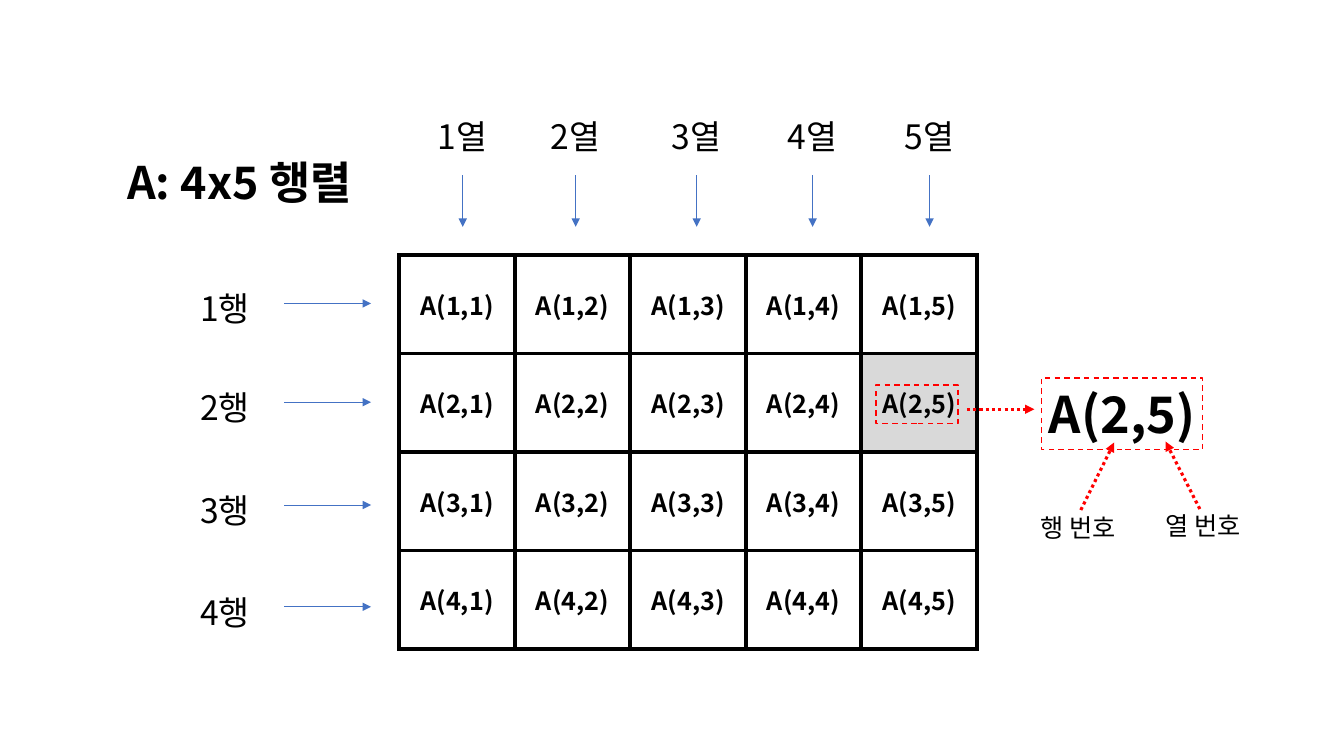
"""Build a slide explaining row and column indices of a 4x5 matrix."""
from lxml import etree
from pptx import Presentation
from pptx.dml.color import RGBColor
from pptx.enum.dml import MSO_LINE
from pptx.enum.shapes import MSO_CONNECTOR, MSO_SHAPE
from pptx.enum.text import MSO_ANCHOR, MSO_AUTO_SIZE, PP_ALIGN
from pptx.oxml import parse_xml
from pptx.oxml.ns import nsdecls, qn
from pptx.util import Pt

PX = 9144
FONT = "Noto Sans CJK KR"
color = RGBColor.from_string
BLACK, WHITE, GRAY, BLUE, RED = map(
    color, ("000000", "FFFFFF", "D9D9D9", "4472C4", "FF0000"))
STRAIGHT, RECTANGLE = MSO_CONNECTOR.STRAIGHT, MSO_SHAPE.RECTANGLE
DASH, DOTS = MSO_LINE.DASH, MSO_LINE.ROUND_DOT
CENTER, TOP, MIDDLE = PP_ALIGN.CENTER, MSO_ANCHOR.TOP, MSO_ANCHOR.MIDDLE
GROW = MSO_AUTO_SIZE.SHAPE_TO_FIT_TEXT
ROWS, COLUMNS = 4, 5


def write(frame, text, size, bold=False):
    """Put one centred paragraph into a text frame."""
    para = frame.paragraphs[0]
    para.text = text
    para.alignment = CENTER
    para.font.size = Pt(size)
    para.font.bold = bold
    para.font.name = FONT
    para.font.color.rgb = BLACK
    defaults = para._p.pPr.find(qn("a:defRPr"))
    etree.SubElement(defaults, qn("a:ea"), typeface=FONT)


def add_arrow(start_x, start_y, end_x, end_y, ink, width, dash=None):
    """Draw a straight arrow with a triangular head."""
    arrow = page.shapes.add_connector(
        STRAIGHT, start_x * PX, start_y * PX, end_x * PX, end_y * PX)
    arrow.line.color.rgb = ink
    arrow.line.width = Pt(width)
    if dash:
        arrow.line.dash_style = dash
    etree.SubElement(arrow.line._get_or_add_ln(), qn("a:tailEnd"), type="triangle")
    etree.SubElement(arrow._element.spPr, qn("a:effectLst"))


deck = Presentation()
deck.slide_width, deck.slide_height = 1333 * PX, 750 * PX
page = deck.slides.add_slide(deck.slide_layouts[5])

title = page.shapes.title
title.left, title.top, title.width, title.height = 107 * PX, 148 * PX, 261 * PX, 64 * PX
title.text_frame.word_wrap = False
title.text_frame.auto_size = GROW
title.text_frame.vertical_anchor = TOP
write(title.text_frame, "A: 4x5 행렬", 32, True)

matrix = page.shapes.add_table(
    ROWS, COLUMNS, 396 * PX, 253 * PX, 573 * PX, 391 * PX).table
matrix.first_row = matrix.horz_banding = False
for row in range(ROWS):
    for column in range(COLUMNS):
        cell = matrix.cell(row, column)
        write(cell.text_frame, f"A({row + 1},{column + 1})", 18, True)
        cell.vertical_anchor = MIDDLE
        for position, side in enumerate(("lnL", "lnR", "lnT", "lnB")):
            border = parse_xml(
                f'<a:{side} {nsdecls("a")} w="{Pt(3)}"><a:solidFill>'
                f'<a:srgbClr val="{BLACK}"/></a:solidFill></a:{side}>')
            cell._tc.get_or_add_tcPr().insert(position, border)
        cell.fill.solid()
        cell.fill.fore_color.rgb = GRAY if (row, column) == (1, 4) else WHITE

labels = [
    ("A(2,5)", 1026, 375, 174, 71, 36),
    ("행 번호", 1017, 503, 105, 40, 18),
    ("열 번호", 1141, 501, 105, 40, 18),
]
for number, top in enumerate((281, 379, 481, 582), 1):
    labels.append((f"{number}행", 187, top, 72, 50, 24))
    add_arrow(282, top + 20, 368, top + 20, BLUE, 0.5)
for number, left in enumerate((423, 535, 655, 770, 886), 1):
    labels.append((f"{number}열", left, 110, 72, 50, 24))
    add_arrow(left + 36, 174, left + 36, 225, BLUE, 0.5)

for text, left, top, width, height, size in labels:
    box = page.shapes.add_textbox(left * PX, top * PX, width * PX, height * PX)
    box.text_frame.word_wrap = size == 36
    box.text_frame.auto_size = GROW
    write(box.text_frame, text, size, size == 36)

for left, top, width, height in ((869, 382, 81, 38), (1033, 375, 160, 71)):
    frame = page.shapes.add_shape(
        RECTANGLE, left * PX, top * PX, width * PX, height * PX)
    frame.shadow.inherit = False
    frame.fill.background()
    frame.line.color.rgb = RED
    frame.line.width = Pt(1)
    frame.line.dash_style = DASH

for ends in ((959, 406, 1026, 406), (1072, 506, 1105, 439), (1190, 505, 1156, 438)):
    add_arrow(*ends, RED, 2.25, DOTS)

deck.save("out.pptx")
